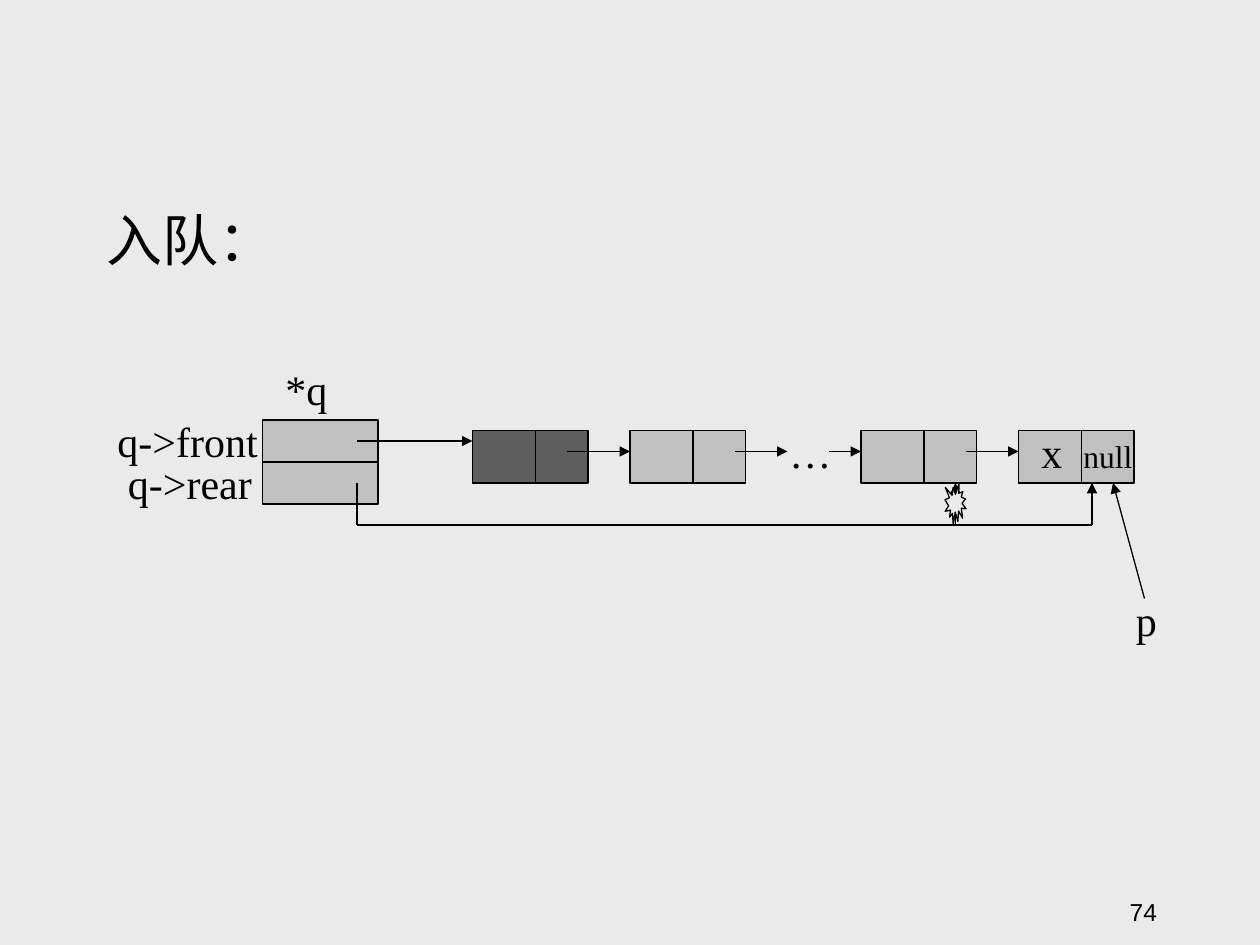
"""Draw the enqueue step of a linked queue."""
from lxml.etree import SubElement
from pptx import Presentation
from pptx.dml.color import RGBColor
from pptx.enum.shapes import MSO_CONNECTOR as Link, MSO_SHAPE as Shape
from pptx.enum.text import MSO_ANCHOR as Anchor, PP_ALIGN as Align
from pptx.oxml.ns import qn
from pptx.util import Pt

BACKGROUND = RGBColor(0xEA, 0xEA, 0xEA)
CELL = RGBColor(0xC0, 0xC0, 0xC0)
HEAD = RGBColor(0x5F, 0x5F, 0x5F)
INK = RGBColor(0, 0, 0)
NODE_TOP, NODE_BOTTOM, NODE_WIDTH, DIVIDER = 246, 276, 66, 36
LINK_Y, LINK_START = 258, 60
FRONT_TOP, FIELD_HEIGHT = 240, 24
HEAD_X, FIRST_X, OLD_LAST_X, NEW_X = 270, 360, 492, 582
REAR_X, REAR_Y, OLD_REAR_X, NEW_REAR_X = 204, 300, 546, 624


class Canvas:
    def __init__(self, slide):
        self.slide = slide
        self.line_width = Pt(0.75)
        self.frame_format = {
            "word_wrap": True, "vertical_anchor": Anchor.TOP,
            "margin_left": Pt(7.2), "margin_right": Pt(7.2),
            "margin_top": Pt(3.6), "margin_bottom": Pt(3.6),
        }
        slide.background.fill.solid()
        slide.background.fill.fore_color.rgb = BACKGROUND

    def stroke(self, line):
        line.color.rgb = INK
        line.width = self.line_width

    def block(self, left, top, width, height, fill=CELL, kind=Shape.RECTANGLE):
        block = self.slide.shapes.add_shape(kind, *map(Pt, (left, top, width, height)))
        block.shadow.inherit = False
        block.fill.solid()
        block.fill.fore_color.rgb = fill
        self.stroke(block.line)

    def line(self, x1, y1, x2, y2, arrow=False):
        line = self.slide.shapes.add_connector(Link.STRAIGHT, *map(Pt, (x1, y1, x2, y2)))
        self.stroke(line.line)
        properties = line.element.spPr
        if arrow:
            SubElement(properties.find(qn("a:ln")), qn("a:tailEnd"), type="triangle")
        SubElement(properties, qn("a:effectLst"))

    def node(self, left, fill=CELL):
        self.block(left, NODE_TOP, NODE_WIDTH, NODE_BOTTOM - NODE_TOP, fill)
        self.line(left + DIVIDER, NODE_TOP, left + DIVIDER, NODE_BOTTOM)

    def text(self, words, left, top, width, height=36, size=24,
             name="Times New Roman", align=Align.LEFT, **frame_changes):
        frame = self.slide.shapes.add_textbox(*map(Pt, (left, top, width, height))).text_frame
        for key, value in (self.frame_format | frame_changes).items():
            setattr(frame, key, value)
        paragraph = frame.paragraphs[0]
        paragraph.alignment = align
        run = paragraph.add_run()
        run.text = words
        for key, value in {"name": name, "size": Pt(size)}.items():
            setattr(run.font, key, value)
        run.font.color.rgb = INK


def main():
    deck = Presentation()
    deck.slide_width, deck.slide_height = Pt(720), Pt(540)
    canvas = Canvas(deck.slides.add_slide(deck.slide_layouts[6]))

    canvas.text("入队：", 54, 114, 162, 46, size=32)
    canvas.text("*q", 156, 204, 78)
    for field, (label, left) in enumerate((("q->front", 60), ("q->rear", 66))):
        top = FRONT_TOP + field * FIELD_HEIGHT
        canvas.block(150, top, NODE_WIDTH, FIELD_HEIGHT)
        canvas.text(label, left, top - 6, 98)

    for left, fill in ((HEAD_X, HEAD), (FIRST_X, CELL), (OLD_LAST_X, CELL), (NEW_X, CELL)):
        canvas.node(left, fill)
    canvas.text("…", 444, 240, 36)
    canvas.text("x", 588, 240, 36)
    canvas.text("null", 612, 246, 54, 29, size=18)

    canvas.line(REAR_X, 252, HEAD_X, 252, arrow=True)
    for start, end in ((324, FIRST_X), (FIRST_X + LINK_START, 450),
                       (474, OLD_LAST_X), (OLD_LAST_X + LINK_START, NEW_X)):
        canvas.line(start, LINK_Y, end, LINK_Y, arrow=True)

    canvas.line(REAR_X, NODE_BOTTOM, REAR_X, REAR_Y)
    for start, end in ((REAR_X, OLD_REAR_X), (OLD_REAR_X, NEW_REAR_X)):
        canvas.line(start, REAR_Y, end, REAR_Y)
        canvas.line(end, REAR_Y, end, NODE_BOTTOM, arrow=True)
    canvas.block(540, NODE_BOTTOM, 12, 24, BACKGROUND, Shape.EXPLOSION1)

    canvas.line(654, 342, 636, NODE_BOTTOM, arrow=True)
    canvas.text("p", 642, 336, 30)
    canvas.text("74", 518.4, 496.8, 149.8, size=14, name="Arial",
                align=Align.RIGHT, vertical_anchor=Anchor.BOTTOM)
    deck.save("out.pptx")


if __name__ == "__main__":
    main()
